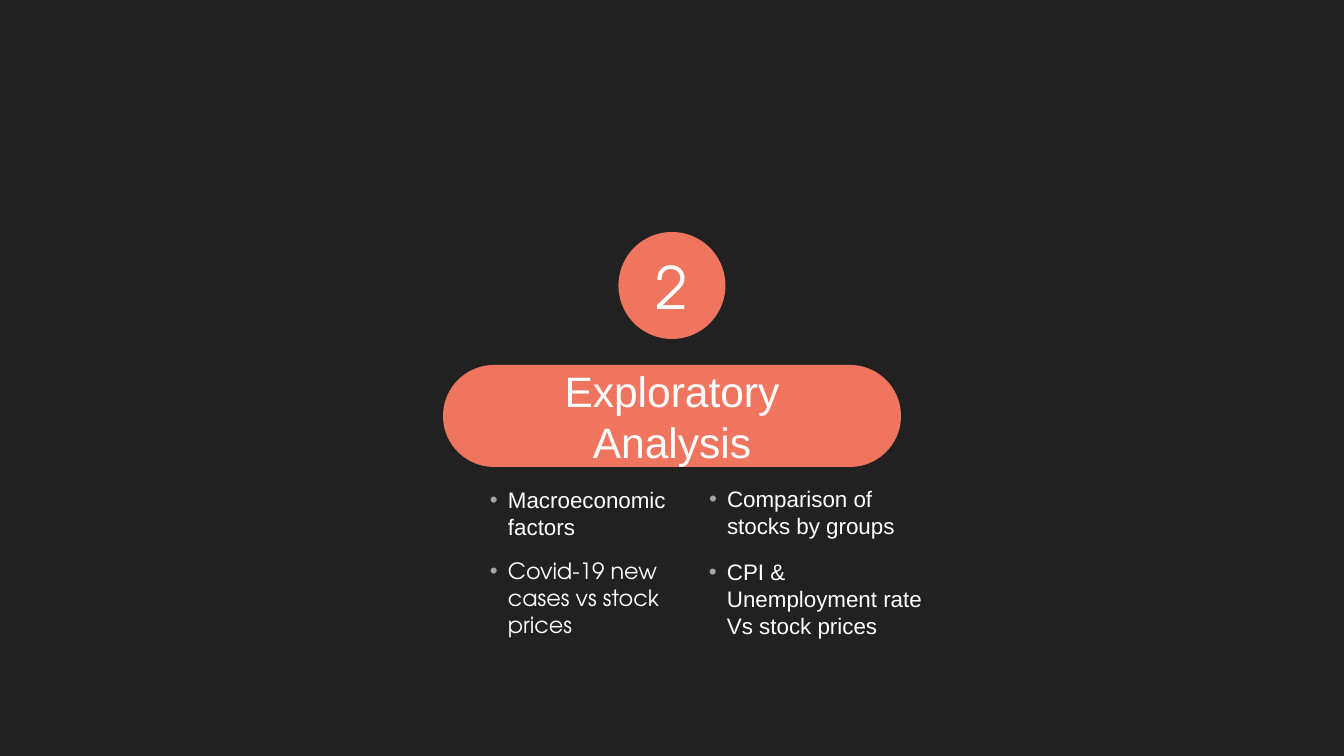
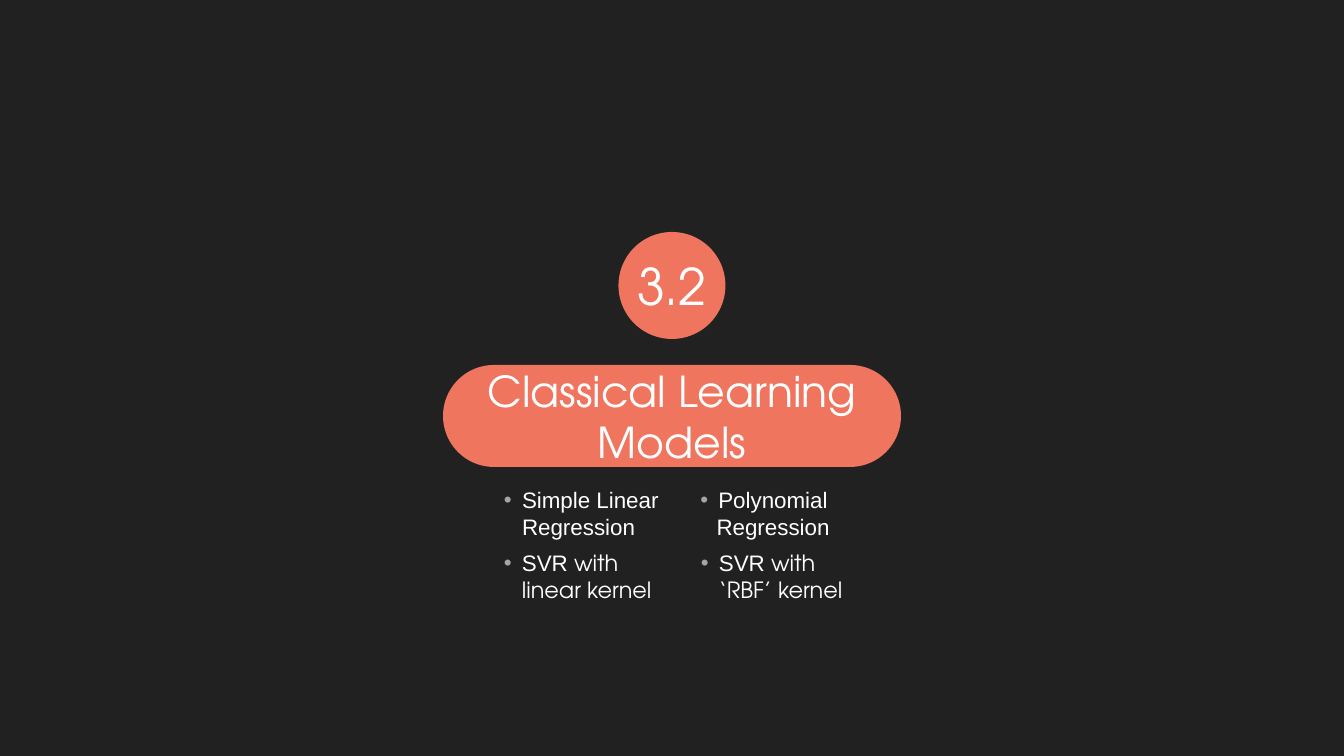
"""Build two dark section slides with a number badge, a title pill and bulleted topics."""
import pptx
import pptx.dml.color
import pptx.enum.shapes
import pptx.enum.text
import pptx.oxml
import pptx.oxml.ns
import pptx.util

RGBColor = pptx.dml.color.RGBColor
Shape = pptx.enum.shapes.MSO_SHAPE
Align = pptx.enum.text.PP_ALIGN
Anchor = pptx.enum.text.MSO_ANCHOR

DARK = RGBColor(0x21, 0x21, 0x21)
CORAL = RGBColor(0xEF, 0x75, 0x5F)
WHITE = RGBColor(0xFF, 0xFF, 0xFF)
BULLET_GRAY = "A5A5A5"
SANS = "Arial"
ROUND = "TeX Gyre Adventor"

PAGE_WIDTH, PAGE_HEIGHT = 1344, 756
EMU_PER_PX = 12192000 / PAGE_WIDTH
PILL_TOP, PILL_WIDTH, PILL_HEIGHT = 365, 458, 102
BADGE_TOP, BADGE_SIZE = 232, 107
LINE_HEIGHT, LINE_RATIO = 27, 1.21
BULLET_INDENT = 18
TITLE_SIZE, TOPIC_SIZE = 30.4, 16

SECTIONS = [
    {
        "number": ("2", 41.7),
        "title": ("Exploratory Analysis", SANS, 265),
        "topics": [
            (709, 485, 221, 2, Align.LEFT, [("Comparison of stocks by groups", SANS)]),
            (490, 486, 182, 2, Align.LEFT, [("Macroeconomic factors", SANS)]),
            (490, 557, 194, 3, Align.LEFT, [("Covid-19 new cases vs stock prices", ROUND)]),
            (709, 558, 220, 3, Align.LEFT, [("CPI & Unemployment rate Vs stock prices", SANS)]),
        ],
    },
    {
        "number": ("3.2", 36),
        "title": ("Classical Learning Models", ROUND, PILL_WIDTH),
        "topics": [
            (680, 486, 168, 2, Align.CENTER, [("Polynomial Regression", SANS)]),
            (504, 486, 168, 2, Align.LEFT, [("Simple Linear Regression", SANS)]),
            (504, 549, 160, 2, Align.LEFT, [("SVR", SANS), (" with linear kernel", ROUND)]),
            (701, 549, 160, 2, Align.LEFT, [("SVR", SANS), (" with ‘RBF’ kernel", ROUND)]),
        ],
    },
]


def px(length):
    return pptx.util.Emu(round(length * EMU_PER_PX))


def centred(width):
    return (PAGE_WIDTH - width) / 2


def apply_format(target, values):
    for name, value in values.items():
        setattr(target, name, value)


def write(box, runs, size, align=Align.CENTER, anchor=Anchor.MIDDLE):
    frame = box.text_frame
    margins = {f"margin_{side}": 0 for side in ("left", "top", "right", "bottom")}
    apply_format(frame, {"word_wrap": True, "vertical_anchor": anchor, **margins})
    para = frame.paragraphs[0]
    spacing = pptx.util.Pt(round(size * LINE_RATIO, 1))
    apply_format(para, {"alignment": align, "line_spacing": spacing})
    for text, font in runs:
        span = para.add_run()
        span.text = text
        apply_format(span.font, {"name": font, "size": pptx.util.Pt(size)})
        span.font.color.rgb = WHITE
    return para


def add_coral_shape(page, kind, top, width, height):
    shape = page.shapes.add_shape(kind, px(centred(width)), px(top), px(width), px(height))
    shape.shadow.inherit = False
    shape.fill.solid()
    shape.fill.fore_color.rgb = CORAL
    shape.line.fill.background()
    return shape


def add_bullet(para):
    para.level = 1
    properties = para._p.get_or_add_pPr()
    properties.set("marL", str(px(BULLET_INDENT)))
    properties.set("indent", str(-px(BULLET_INDENT)))
    namespace = pptx.oxml.ns.nsdecls("a")
    for markup in (
        f'<a:buClr {namespace}><a:srgbClr val="{BULLET_GRAY}"/></a:buClr>',
        f'<a:buFont {namespace} typeface="{SANS}"/>',
        f'<a:buChar {namespace} char="•"/>',
    ):
        properties.append(pptx.oxml.parse_xml(markup))


def add_section(deck, section):
    page = deck.slides.add_slide(deck.slide_layouts[6])
    pill = add_coral_shape(page, Shape.ROUNDED_RECTANGLE, PILL_TOP, PILL_WIDTH, PILL_HEIGHT)
    pill.adjustments[0] = 0.5
    badge = add_coral_shape(page, Shape.OVAL, BADGE_TOP, BADGE_SIZE, BADGE_SIZE)
    number, number_size = section["number"]
    write(badge, [(number, ROUND)], number_size)

    title, font, width = section["title"]
    title_box = page.shapes.add_textbox(
        px(centred(width)), px(PILL_TOP), px(width), px(PILL_HEIGHT))
    write(title_box, [(title, font)], TITLE_SIZE)

    for left, top, width, lines, align, runs in section["topics"]:
        topic_box = page.shapes.add_textbox(
            px(left), px(top), px(width), px(lines * LINE_HEIGHT))
        add_bullet(write(topic_box, runs, TOPIC_SIZE, align, Anchor.TOP))


def main():
    deck = pptx.Presentation()
    apply_format(deck, {"slide_width": px(PAGE_WIDTH), "slide_height": px(PAGE_HEIGHT)})
    backdrop = deck.slide_master.background.fill
    backdrop.solid()
    backdrop.fore_color.rgb = DARK
    for section in SECTIONS:
        add_section(deck, section)
    deck.save("out.pptx")


if __name__ == "__main__":
    main()
